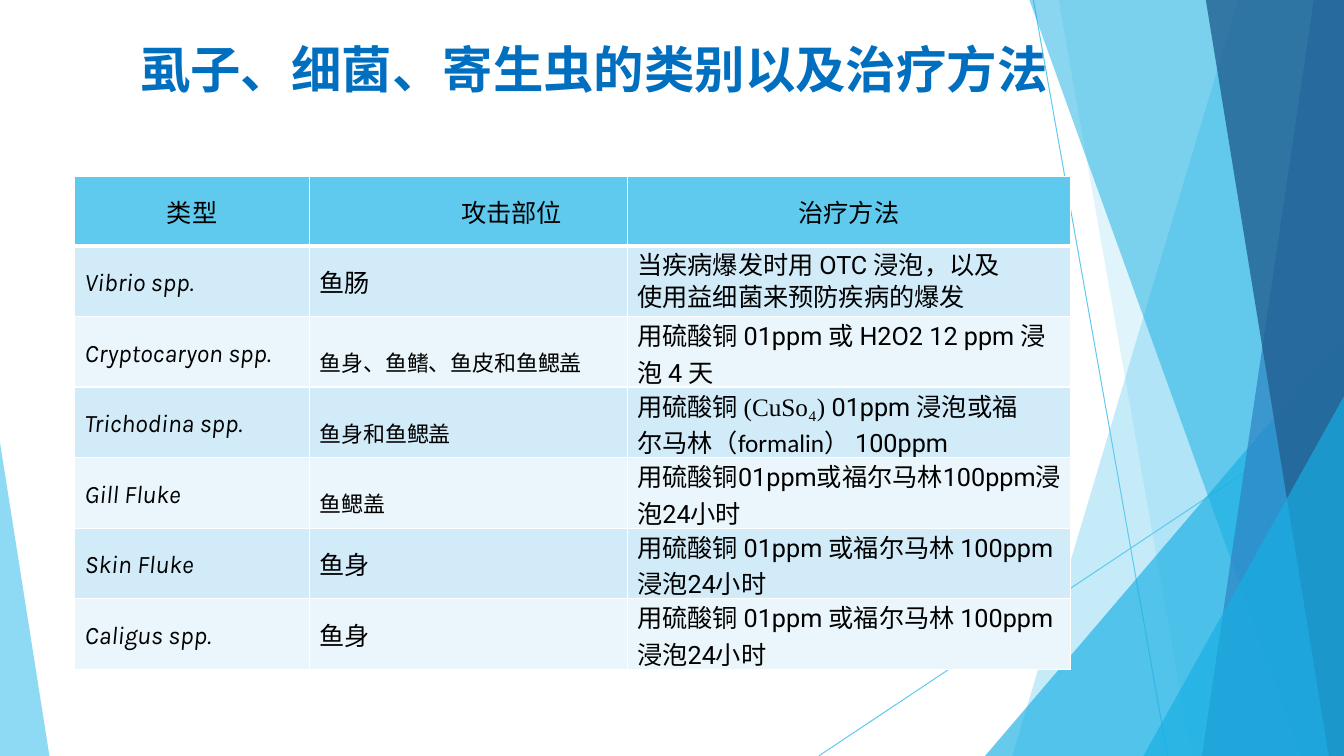
from lxml import etree
from pptx import Presentation
from pptx import util as u
from pptx.dml import color as c
from pptx.enum import shapes as s, text as t
from pptx.oxml import ns

HUES = {
    "sky": "5FCAEE", "cyan": "17AFE3", "blue": "2D83C3", "navy": "226192",
    "title": "006FC0", "ink": "000000", "white": "FFFFFF",
    "band": "D2EBF8", "pale": "EAF6FB",
}
WIDE, HIGH = 13.33, 7.5


class Deck:
    """Style and current slide."""

    def __init__(self):
        self.prs = Presentation()
        self.prs.slide_width = u.Inches(WIDE)
        self.prs.slide_height = u.Inches(HIGH)
        self.slide = self.prs.slides.add_slide(self.prs.slide_layouts[5])
        self.items = self.slide.shapes

    def hue(self, name):
        return c.RGBColor.from_string(HUES[name])

    def style(self, font, size, hue="ink", face="Roboto"):
        font.size, font.name = u.Pt(size), face
        font.color.rgb = self.hue(hue)

    def line(self, x1, y1, x2, y2):
        rule = self.items.add_connector(
            s.MSO_CONNECTOR.STRAIGHT, *map(u.Inches, (x1, y1, x2, y2)))
        rule.line.color.rgb = self.hue("sky")
        rule.line.width = u.Pt(0.72)
        etree.SubElement(rule._element.spPr, ns.qn("a:effectLst"))

    def facet(self, points, hue, alpha):
        spots = [(u.Inches(x), u.Inches(y)) for x, y in points]
        pen = self.items.build_freeform(*spots[0])
        pen.add_line_segments(spots[1:], close=True)
        shape = pen.convert_to_shape()
        shape.shadow.inherit = False
        shape.line.fill.background()
        shape.fill.solid()
        shape.fill.fore_color.rgb = self.hue(hue)
        tint = shape._element.spPr.find(".//" + ns.qn("a:srgbClr"))
        etree.SubElement(tint, ns.qn("a:alpha"), val=str(alpha * 1000))

    def title(self, words, x, y, w, h):
        box = self.items.title
        box.left, box.top, box.width, box.height = map(u.Inches, (x, y, w, h))
        frame = box.text_frame
        frame.text = words
        frame.word_wrap = True
        frame.auto_size = t.MSO_AUTO_SIZE.SHAPE_TO_FIT_TEXT
        frame.vertical_anchor = t.MSO_ANCHOR.TOP
        frame.margin_left = frame.margin_right = frame.margin_bottom = 0
        frame.margin_top = u.Inches(0.01)
        para = frame.paragraphs[0]
        para.alignment = t.PP_ALIGN.LEFT
        self.style(para.font, 36, "title")
        para.font.bold = True
        self.items._spTree.append(box._element)  # bring to front

    def border(self, cell, top, bottom):
        props = cell._tc.get_or_add_tcPr()
        for side, width in zip("LRTB", (1, 1, top, bottom)):
            edge = etree.SubElement(props, ns.qn("a:ln" + side), w=str(u.Pt(width)))
            fill = etree.SubElement(edge, ns.qn("a:solidFill"))
            etree.SubElement(fill, ns.qn("a:srgbClr"), val=HUES["white"])

    def cell(self, cell, words, fill, indent=0.1, top=0):
        """Fill a cell; words is a string or a list of (text, face) runs."""
        cell.fill.solid()
        cell.fill.fore_color.rgb = self.hue(fill)
        cell.vertical_anchor = t.MSO_ANCHOR.MIDDLE
        cell.margin_left = cell.margin_right = cell.margin_bottom = 0
        cell.margin_top = u.Inches(top)
        para = cell.text_frame.paragraphs[0]
        props = para._p.get_or_add_pPr()
        props.set("marL", str(u.Inches(indent)))
        props.set("indent", "0")
        self.style(para.font, 18)
        if isinstance(words, str):
            words = [(words, None)]
        for part, face in words:
            run = para.add_run()
            run.text = part
            if face:
                run.font.name = face
        return para

    def table(self, x, y, cols, rows, data):
        grid = self.items.add_table(
            len(rows), len(cols),
            *map(u.Inches, (x, y, sum(cols), sum(rows)))).table
        grid.first_row = grid.horz_banding = False
        for col, width in zip(grid.columns, cols):
            col.width = u.Inches(width)
        for row, height in zip(grid.rows, rows):
            row.height = u.Inches(height)
        for i, row in enumerate(data):
            fill = "sky" if i == 0 else ("pale", "band")[i % 2]
            for j, words in enumerate(row):
                cell = grid.cell(i, j)
                self.border(cell, 3 if i == 1 else 1, 3 if i == 0 else 1)
                if i == 0:
                    para = self.cell(cell, words, fill, 0.86 if j == 1 else 0)
                    para.alignment = t.PP_ALIGN.CENTER
                    continue
                para = self.cell(cell, words, fill, top=0.04 if j == 0 else 0)
                if j == 0:
                    para.font.name, para.font.italic = "Karla", True
                elif j == 1 and i in LOWERED:
                    para.font.size = u.Pt(27)
                    para.font._element.set("baseline", "-9000")
                elif j == 2 and i in NARROW:
                    cell.margin_right = u.Inches(0.5)
                    if i == 1:
                        cell.margin_top = u.Inches(0.02)
                        para.line_spacing = u.Pt(22.3)


LOWERED = (2, 3, 4)  # rows whose body-part text sits below the baseline
NARROW = (1, 3)  # rows whose treatment text wraps early
DOSE = "用硫酸铜 01ppm 或福尔马林 100ppm 浸泡24小时"
DATA = [
    ("类型", "攻击部位", "治疗方法"),
    ("Vibrio spp.", "鱼肠", "当疾病爆发时用 OTC 浸泡，以及使用益细菌来预防疾病的爆发"),
    ("Cryptocaryon spp.", "鱼身、鱼鳍、鱼皮和鱼鳃盖",
     "用硫酸铜 01ppm 或 H2O2 12 ppm 浸泡 4 天"),
    ("Trichodina spp.", "鱼身和鱼鳃盖", [
        ("用硫酸铜 ", "Roboto"), ("(CuSo₄) ", "Times New Roman"),
        ("01ppm 浸泡或福尔马林（", "Roboto"), ("formalin） ", "Calibri"),
        ("100ppm", "Roboto")]),
    ("Gill Fluke", "鱼鳃盖", "用硫酸铜01ppm或福尔马林100ppm浸泡24小时"),
    ("Skin Fluke", "鱼身", DOSE),
    ("Caligus spp.", "鱼身", DOSE),
]

# Right-hand facets from back to front: outline, colour, opacity
FACETS = [
    ([(12.28, 0), (10.04, HIGH), (WIDE, HIGH), (WIDE, 0)], "sky", 36),
    ([(10.5, 0), (11.82, HIGH), (WIDE, HIGH), (WIDE, 0)], "sky", 20),
    ([(WIDE, 3.33), (9.77, HIGH), (WIDE, HIGH)], "cyan", 66),
    ([(10.21, 0), (12.91, HIGH), (WIDE, HIGH), (WIDE, 0)], "cyan", 50),
    ([(13.03, 0), (11.92, HIGH), (WIDE, HIGH), (WIDE, 0)], "blue", 70),
    ([(11.96, 0), (13.18, HIGH), (WIDE, HIGH), (WIDE, 0)], "navy", 80),
    ([(WIDE, 3.93), (11.34, HIGH), (WIDE, HIGH)], "cyan", 66),
    ([(0, 4.39), (0, HIGH), (0.49, HIGH)], "sky", 70),
]


def main():
    deck = Deck()

    # Background lines and facets
    deck.line(10.25, 0, 11.58, HIGH)
    deck.line(WIDE, 4.03, 8.12, HIGH)
    for points, hue, alpha in FACETS:
        deck.facet(points, hue, alpha)

    # Title and treatment table
    deck.title("虱子、细菌、寄生虫的类别以及治疗方法", 1.39, 0.37, 10.56, 0.62)
    deck.table(0.74, 1.75, (2.33, 3.15, 4.4), [0.69] + [0.7] * 6, DATA)

    deck.prs.save("out.pptx")


if __name__ == "__main__":
    main()
